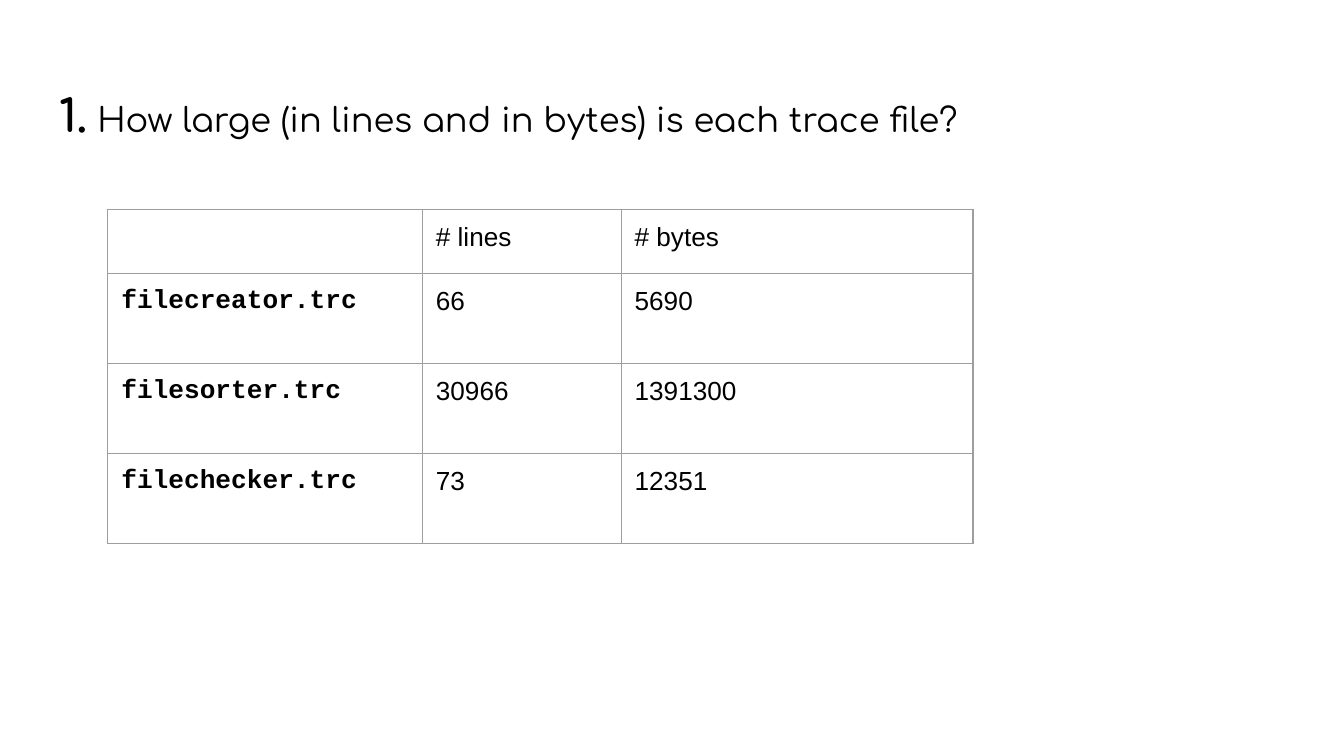
from dataclasses import dataclass

from lxml.etree import SubElement
from pptx import Presentation
from pptx.dml.color import RGBColor
from pptx.enum.text import MSO_ANCHOR as Anchor, MSO_AUTO_SIZE as AutoSize, PP_ALIGN as Align
from pptx.oxml.ns import qn
from pptx.util import Pt


@dataclass(frozen=True)
class Theme:
    ink: str = "000000"
    border: str = "9E9E9E"
    title_font: str = "Comfortaa"
    body_font: str = "Arial"
    code_font: str = "Courier New"
    number_size: float = 24
    title_size: float = 18
    cell_size: float = 14
    inset: float = 7.2
    border_width: float = 0.75


THEME = Theme()

HEADER = ("", "# lines", "# bytes")
TRACES = (
    ("filecreator.trc", "66", "5690"),
    ("filesorter.trc", "30966", "1391300"),
    ("filechecker.trc", "73", "12351"),
)
COLUMN_WIDTHS = (168.5, 106.5, 188.5)
HEADER_HEIGHT, TRACE_HEIGHT = 34.3, 48.2


def add_text(para, text, *, font, size, bold=False, color=THEME.ink):
    span = para.add_run()
    span.text = text
    span.font.name = font
    span.font.size = Pt(size)
    span.font.bold = bold
    span.font.color.rgb = RGBColor.from_string(color)


def set_insets(box):
    box.margin_left = box.margin_right = Pt(THEME.inset)
    box.margin_top = box.margin_bottom = Pt(THEME.inset)


def set_borders(cell):
    """Draw the four cell borders; they must precede the fill in the XML."""
    properties = cell._tc.get_or_add_tcPr()
    for side in ("a:lnL", "a:lnR", "a:lnT", "a:lnB"):
        line = SubElement(properties, qn(side), w=str(Pt(THEME.border_width)))
        fill = SubElement(line, qn("a:solidFill"))
        SubElement(fill, qn("a:srgbClr"), val=THEME.border)


def fill_title(page):
    title = page.shapes.title
    title.left, title.top, title.width, title.height = Pt(24.5), Pt(35.5), Pt(671), Pt(345.5)
    frame = title.text_frame
    frame.word_wrap = True
    frame.auto_size = AutoSize.NONE
    frame.vertical_anchor = Anchor.TOP
    set_insets(frame)
    para = frame.paragraphs[0]
    para.alignment = Align.LEFT
    para.line_spacing = 1.15
    add_text(para, "1.", font=THEME.title_font, size=THEME.number_size, bold=True)
    add_text(para, " How large (in lines and in bytes) is each trace file?",
             font=THEME.title_font, size=THEME.title_size)


def fill_cell(cell, text, is_file_name):
    set_borders(cell)
    cell.fill.background()
    if text:
        set_insets(cell)
        font = THEME.code_font if is_file_name else THEME.body_font
        add_text(cell.text_frame.paragraphs[0], text, font=font,
                 size=THEME.cell_size, bold=is_file_name)


def add_trace_table(page):
    rows = (HEADER, *TRACES)
    heights = [HEADER_HEIGHT] + [TRACE_HEIGHT] * len(TRACES)
    table = page.shapes.add_table(len(rows), len(HEADER), Pt(57.8), Pt(112.2),
                                  Pt(sum(COLUMN_WIDTHS)), Pt(sum(heights))).table
    table.first_row = table.horz_banding = False
    for column, width in zip(table.columns, COLUMN_WIDTHS):
        column.width = Pt(width)
    for row, height, texts in zip(table.rows, heights, rows):
        row.height = Pt(height)
        for index, (cell, text) in enumerate(zip(row.cells, texts)):
            fill_cell(cell, text, is_file_name=index == 0)


def main():
    deck = Presentation()
    deck.slide_width, deck.slide_height = Pt(720), Pt(405)
    page = deck.slides.add_slide(deck.slide_layouts[5])

    # Question
    fill_title(page)

    # Size of each trace file
    add_trace_table(page)

    deck.save("out.pptx")


if __name__ == "__main__":
    main()
